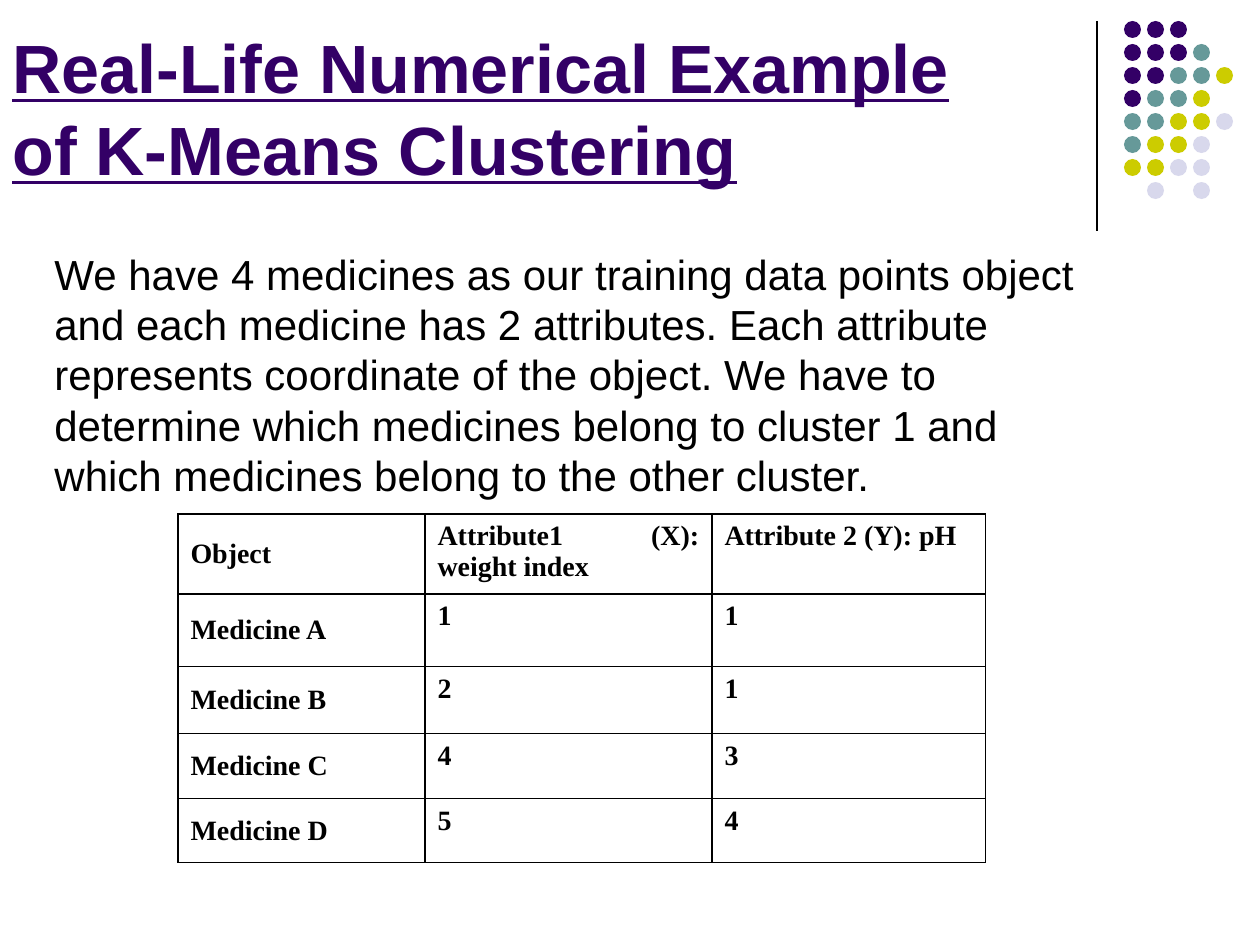
from pptx import Presentation
from pptx import util as u
from pptx.dml.color import RGBColor
from pptx.enum import shapes, text
from pptx.oxml import parse_xml
from pptx.oxml.ns import nsdecls

PX = 914400 // 126
BLACK = RGBColor(0x00, 0x00, 0x00)
PURPLE = RGBColor(0x33, 0x00, 0x66)
TEAL = RGBColor(0x66, 0x99, 0x99)
LIME = RGBColor(0xCC, 0xCC, 0x00)
LILAC = RGBColor(0xD8, 0xD8, 0xEC)

DOT_COLOURS = {"P": PURPLE, "T": TEAL, "L": LIME, "V": LILAC}
DOT_ROWS = ["PPP", "PPPT", "PPTTL", "PTTL", "TTLLV", "TLLV", "LLVV", " V V"]

TITLE = "Real-Life Numerical Example of K-Means Clustering"
BODY = (
    "We have 4 medicines as our training data points object and each medicine "
    "has 2 attributes. Each attribute represents coordinate of the object. We "
    "have to determine which medicines belong to cluster 1 and which medicines "
    "belong to the other cluster."
)
MEDICINES = [
    ("Object", "Attribute1 (X): weight index", "Attribute 2 (Y): pH"),
    ("Medicine A", "1", "1"),
    ("Medicine B", "2", "1"),
    ("Medicine C", "4", "3"),
    ("Medicine D", "5", "4"),
]
COLUMN_WIDTHS = [247, 287, 274]
ROW_HEIGHTS = [80, 73, 67, 65, 64]


def px(*lengths):
    return [u.Emu(length * PX) for length in lengths]


def style(para, font_name, size, colour, bold=False, underline=False):
    for span in para.runs:
        font = span.font
        font.name, font.size, font.bold = font_name, u.Pt(size), bold
        font.underline = underline
        font.color.rgb = colour


def add_text(page, box, words, anchor, size, colour, **emphasis):
    frame = page.shapes.add_textbox(*px(*box)).text_frame
    frame.word_wrap = True
    frame.vertical_anchor = anchor
    frame.text = words
    para = frame.paragraphs[0]
    para.line_spacing = 1.0
    style(para, "Arial", size, colour, **emphasis)


def add_ornament(page, box):
    """Vertical rule with a grid of coloured dots to its right."""
    left, top, width, height = box
    rule = page.shapes.add_connector(
        shapes.MSO_CONNECTOR.STRAIGHT, *px(left, top, left, top + height))
    rule.line.color.rgb = BLACK
    rule.line.width = u.Pt(0.75)
    rule._element.spPr.append(parse_xml(f"<a:effectLst {nsdecls('a')}/>"))

    pitch, size = 23, 17
    first = left + width - 4 * pitch - size
    for row, codes in enumerate(DOT_ROWS):
        for column, code in enumerate(codes):
            if code == " ":
                continue
            dot = page.shapes.add_shape(
                shapes.MSO_SHAPE.OVAL,
                *px(first + column * pitch, top + row * pitch, size, size))
            dot.shadow.inherit = False
            dot.fill.solid()
            dot.fill.fore_color.rgb = DOT_COLOURS[code]
            dot.line.fill.background()


def add_borders(cell):
    properties = cell._tc.get_or_add_tcPr()
    for position, side in enumerate(("lnL", "lnR", "lnT", "lnB")):
        properties.insert(position, parse_xml(
            f'<a:{side} {nsdecls("a")} w="{u.Pt(0.75)}"><a:solidFill>'
            f'<a:srgbClr val="{BLACK}"/></a:solidFill></a:{side}>'))


def add_medicine_table(page, box):
    table = page.shapes.add_table(
        len(MEDICINES), len(COLUMN_WIDTHS), *px(*box)).table
    table.first_row = table.horz_banding = False
    for column, width in zip(table.columns, px(*COLUMN_WIDTHS)):
        column.width = width
    for row, height, values in zip(table.rows, px(*ROW_HEIGHTS), MEDICINES):
        row.height = height
        for index, (cell, value) in enumerate(zip(row.cells, values)):
            cell.fill.background()
            add_borders(cell)
            cell.vertical_anchor = (
                text.MSO_ANCHOR.TOP if index else text.MSO_ANCHOR.MIDDLE)
            cell.text = value
            para = cell.text_frame.paragraphs[0]
            para.alignment = text.PP_ALIGN.JUSTIFY
            style(para, "Times New Roman", 16, BLACK, bold=True)


def main():
    deck = Presentation()
    deck.slide_width, deck.slide_height = px(1260, 945)
    page = deck.slides.add_slide(deck.slide_layouts[6])
    add_ornament(page, (1097, 21, 136, 210))
    add_text(page, (0, 16, 1040, 179), TITLE, text.MSO_ANCHOR.BOTTOM, 39,
             PURPLE, bold=True, underline=True)
    add_text(page, (42, 242, 1081, 315), BODY, text.MSO_ANCHOR.TOP, 24, BLACK)
    add_medicine_table(page, (178, 514, sum(COLUMN_WIDTHS), sum(ROW_HEIGHTS)))
    deck.save("out.pptx")


if __name__ == "__main__":
    main()
